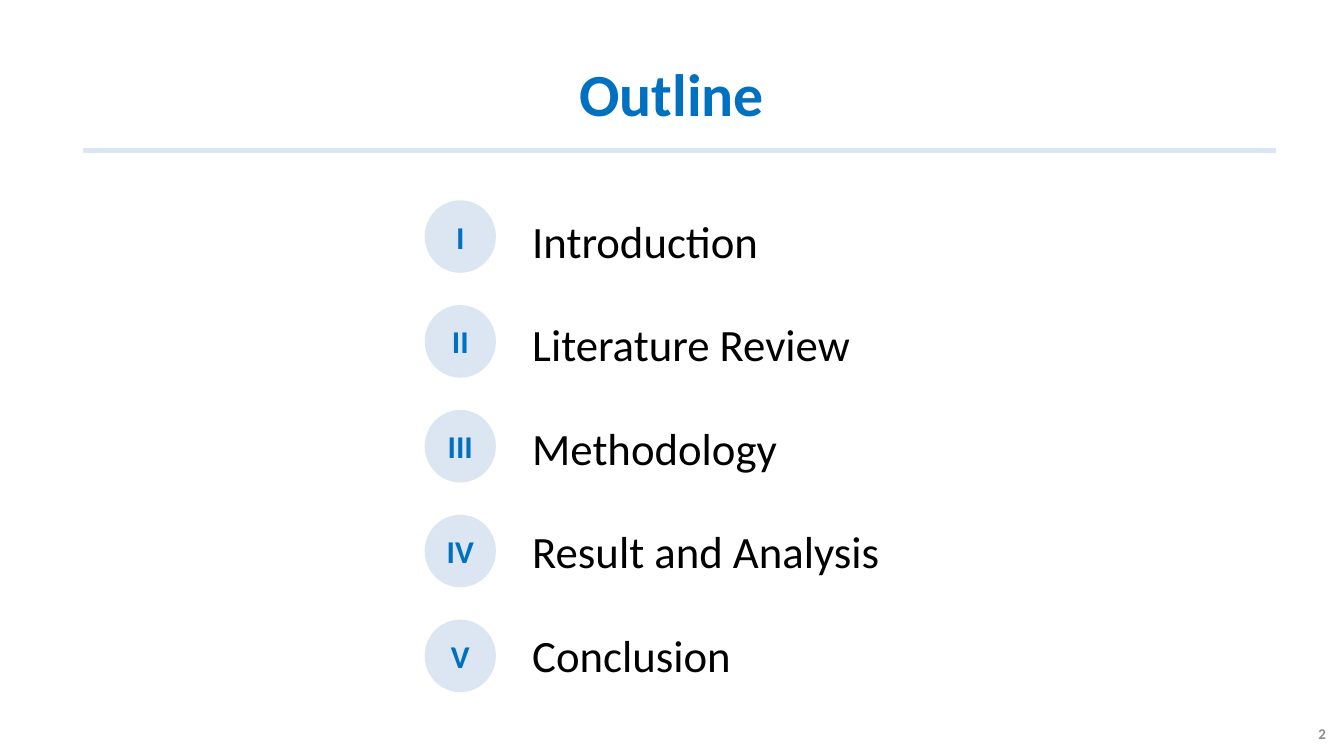
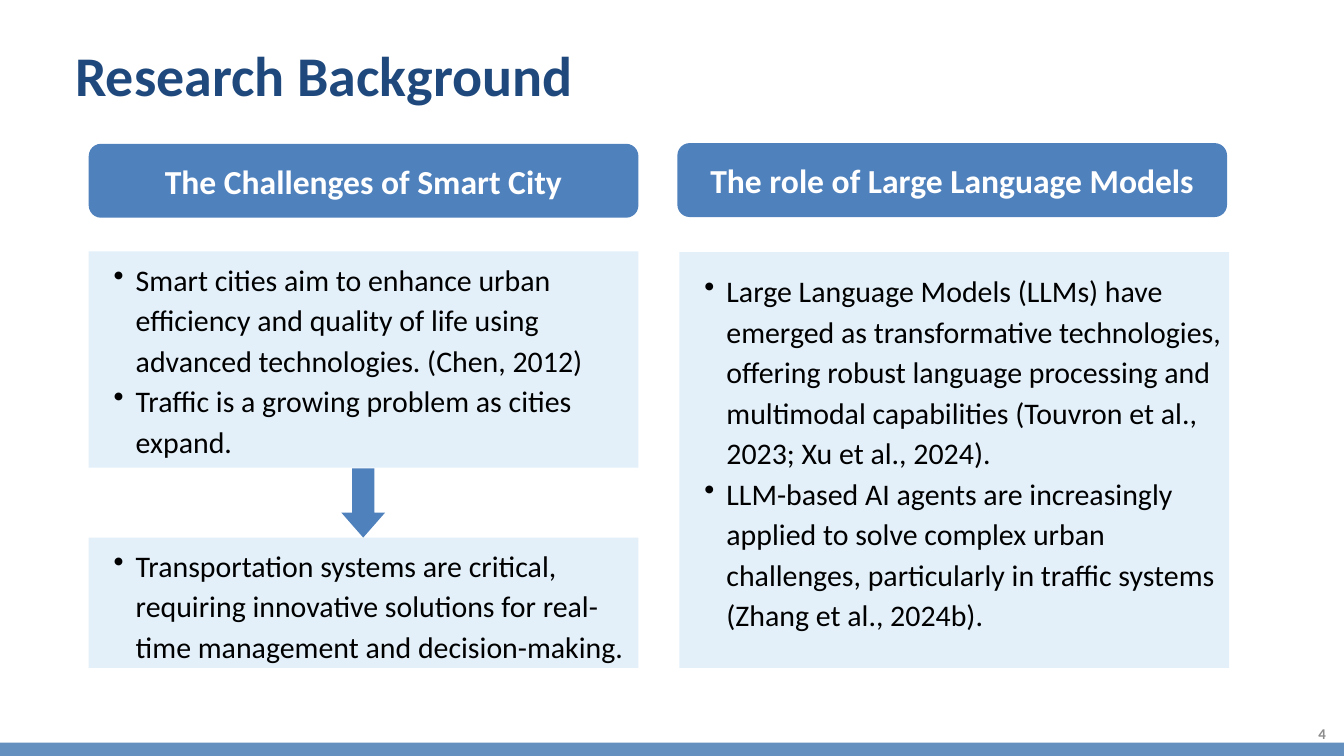
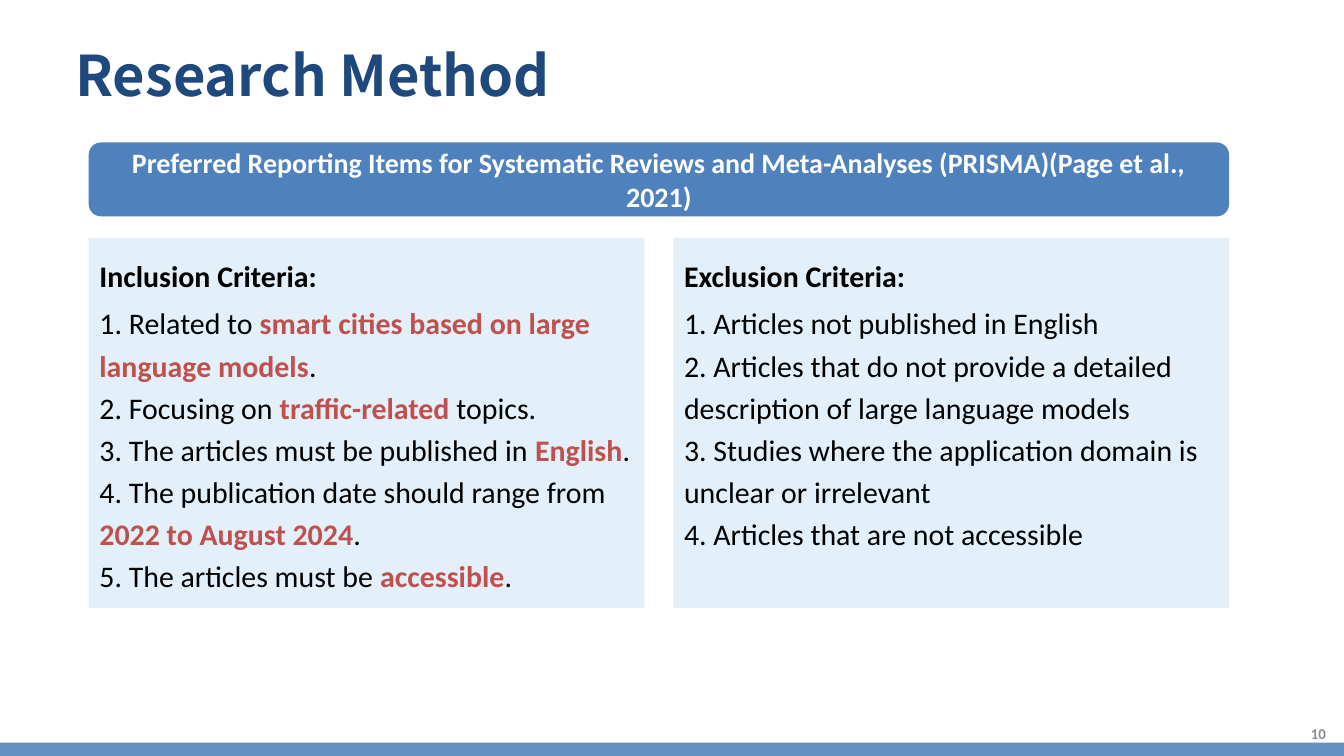
"""Build three slides on language models in smart cities: outline, background and method."""
from lxml import etree
from pptx import Presentation
from pptx.dml.color import RGBColor
from pptx.enum.shapes import MSO_CONNECTOR, MSO_SHAPE
from pptx.enum.text import MSO_ANCHOR, PP_ALIGN
from pptx.oxml.ns import qn
from pptx.util import Pt

PX = 9144
RECT, ROUND, OVAL, DOWN = (MSO_SHAPE.RECTANGLE, MSO_SHAPE.ROUNDED_RECTANGLE,
                           MSO_SHAPE.OVAL, MSO_SHAPE.DOWN_ARROW)
LEFT, MID, RIGHT = PP_ALIGN.LEFT, PP_ALIGN.CENTER, PP_ALIGN.RIGHT
TOP, CENTER = MSO_ANCHOR.TOP, MSO_ANCHOR.MIDDLE

COLORS = {"bright": "0070C0", "pale": "DCE6F2", "navy": "1F497D", "head": "4F81BD",
          "panel": "E3F0F9", "band": "6490C0", "hot": "C0504D", "page": "8C8C8C",
          "ink": "000000", "white": "FFFFFF"}
SANS, CJK = "Calibri", "Noto Sans CJK JP"

OUTLINE = [("I", "Introduction"), ("II", "Literature Review"), ("III", "Methodology"),
           ("IV", "Result and Analysis"), ("V", "Conclusion")]

HEADS = [((132, 214, 818, 110), "The Challenges of Smart City"),
         ((1008, 213, 818, 110), "The role of Large Language Models")]

POINTS = [
    ((132, 374, 818, 322), (4, 8, 4, 8), [
        "Smart cities aim to enhance urban efficiency and quality of life using "
        "advanced technologies. (Chen, 2012)",
        "Traffic is a growing problem as cities expand."]),
    ((132, 800, 818, 194), (4, 8, 4, 8), [
        "Transportation systems are critical, requiring innovative solutions for "
        "real-time management and decision-making."]),
    ((1011, 375, 818, 619), (4, 24, 4, 55), [
        "Large Language Models (LLMs) have emerged as transformative technologies, "
        "offering robust language processing and multimodal capabilities "
        "(Touvron et al., 2023; Xu et al., 2024).",
        "LLM-based AI agents are increasingly applied to solve complex urban "
        "challenges, particularly in traffic systems (Zhang et al., 2024b)."]),
]

PRISMA = ("Preferred Reporting Items for Systematic Reviews and Meta-Analyses "
          "(PRISMA)(Page et al., 2021)")
CRITERIA = [
    (132, "Inclusion Criteria:", [
        "1. Related to |smart cities based on large language models|.",
        "2. Focusing on |traffic-related| topics.",
        "3. The articles must be published in |English|.",
        "4. The publication date should range from |2022 to August 2024|.",
        "5. The articles must be |accessible|."]),
    (1002, "Exclusion Criteria:", [
        "1. Articles not published in English",
        "2. Articles that do not provide a detailed description of large language models",
        "3. Studies where the application domain is unclear or irrelevant",
        "4. Articles that are not accessible"]),
]


def rgb(name):
    return RGBColor.from_string(COLORS[name])


def px(*vals):
    return [v * PX for v in vals]


def shape(slide, kind, box, fill):
    item = slide.shapes.add_shape(kind, *px(*box))
    item.shadow.inherit = False
    item.fill.solid()
    item.fill.fore_color.rgb = rgb(fill)
    item.line.fill.background()
    return item


def frame(item, inset=(0, 0, 0, 0), anchor=TOP):
    tf = item.text_frame
    tf.word_wrap = True
    tf.vertical_anchor = anchor
    tf.margin_left, tf.margin_top, tf.margin_right, tf.margin_bottom = px(*inset)
    return tf


def write(tf, lines, size, color="ink", bold=False, align=LEFT, lead=None,
          bullet=False, font=SANS):
    """Fill a frame with paragraphs; text between bars is highlighted."""
    for i, line in enumerate(lines):
        par = tf.add_paragraph() if i else tf.paragraphs[0]
        par.alignment = align
        if lead:
            par.line_spacing = Pt(lead)
        if bullet:
            props = par._p.get_or_add_pPr()
            props.set("marL", str(66 * PX))
            props.set("indent", str(-33 * PX))
            etree.SubElement(props, qn("a:buChar")).set("char", "•")
        style = par.font
        style.name, style.size, style.bold = font, Pt(size), bold
        style.color.rgb = rgb(color)
        for j, part in enumerate(line.split("|")):
            run = par.add_run()
            run.text = part
            if j % 2:
                run.font.bold = True
                run.font.color.rgb = rgb("hot")


def label(slide, box, text, size, **look):
    write(frame(slide.shapes.add_textbox(*px(*box))), [text], size, **look)


def header(slide, box, text, size):
    tf = frame(shape(slide, ROUND, box, "head"), (10, 5, 10, 5), CENTER)
    write(tf, [text], size, "white", True, MID)


def number(slide, page):
    tf = frame(slide.shapes.add_textbox(*px(1750, 1071, 233, 40)), (10, 5, 10, 5), CENTER)
    write(tf, [str(page)], 16, "page", True, RIGHT)


def content(deck, title, page, font=SANS):
    slide = deck.slides.add_slide(deck.slide_layouts[6])
    shape(slide, RECT, (0, 1105, 2000, 20), "band")
    label(slide, (112, 73, 1502, 89), title, 60, color="navy", bold=True, lead=63, font=font)
    number(slide, page)
    return slide


def outline(deck):
    slide = deck.slides.add_slide(deck.slide_layouts[6])
    label(slide, (112, 98, 1775, 97), "Outline", 64, color="bright", bold=True,
          align=MID, lead=67.2)
    rule = slide.shapes.add_connector(MSO_CONNECTOR.STRAIGHT, *px(124, 224, 1899, 224))
    rule.line.color.rgb = rgb("pale")
    rule.line.width = Pt(6)
    etree.SubElement(rule._element.spPr, qn("a:effectLst"))
    for i, (mark, name) in enumerate(OUTLINE):
        disc = shape(slide, OVAL, (632, 298 + 156 * i, 106, 108), "pale")
        write(frame(disc, (0, 0, 0, 10), CENTER), [mark], 34, "bright", True, MID, 47.6)
        label(slide, (792, 328 + 154 * i, 663, 70), name, 48, lead=50.4)
    number(slide, 2)


def background(deck):
    slide = content(deck, "Research Background", 4)
    for box, text in HEADS:
        header(slide, box, text, 36)
    for box, inset, lines in POINTS:
        tf = frame(shape(slide, RECT, box, "panel"), inset)
        write(tf, lines, 32, lead=43.4, bullet=True)
    arrow = shape(slide, DOWN, (508, 697, 65, 103), "head")
    arrow.adjustments[0], arrow.adjustments[1] = 0.51, 0.57


def method(deck):
    slide = content(deck, "Research Method", 10, CJK)
    header(slide, (132, 212, 1697, 110), PRISMA, 30)
    for left, name, lines in CRITERIA:
        tf = frame(shape(slide, RECT, (left, 354, 827, 551), "panel"), (16, 20, 16, 20))
        write(tf, [name] + lines, 32, lead=45)
        top = tf.paragraphs[0]
        top.font.bold = True
        top.space_after = Pt(6)


def main():
    deck = Presentation()
    deck.slide_width, deck.slide_height = px(2000, 1125)
    for build in (outline, background, method):
        build(deck)
    deck.save("out.pptx")


if __name__ == "__main__":
    main()
